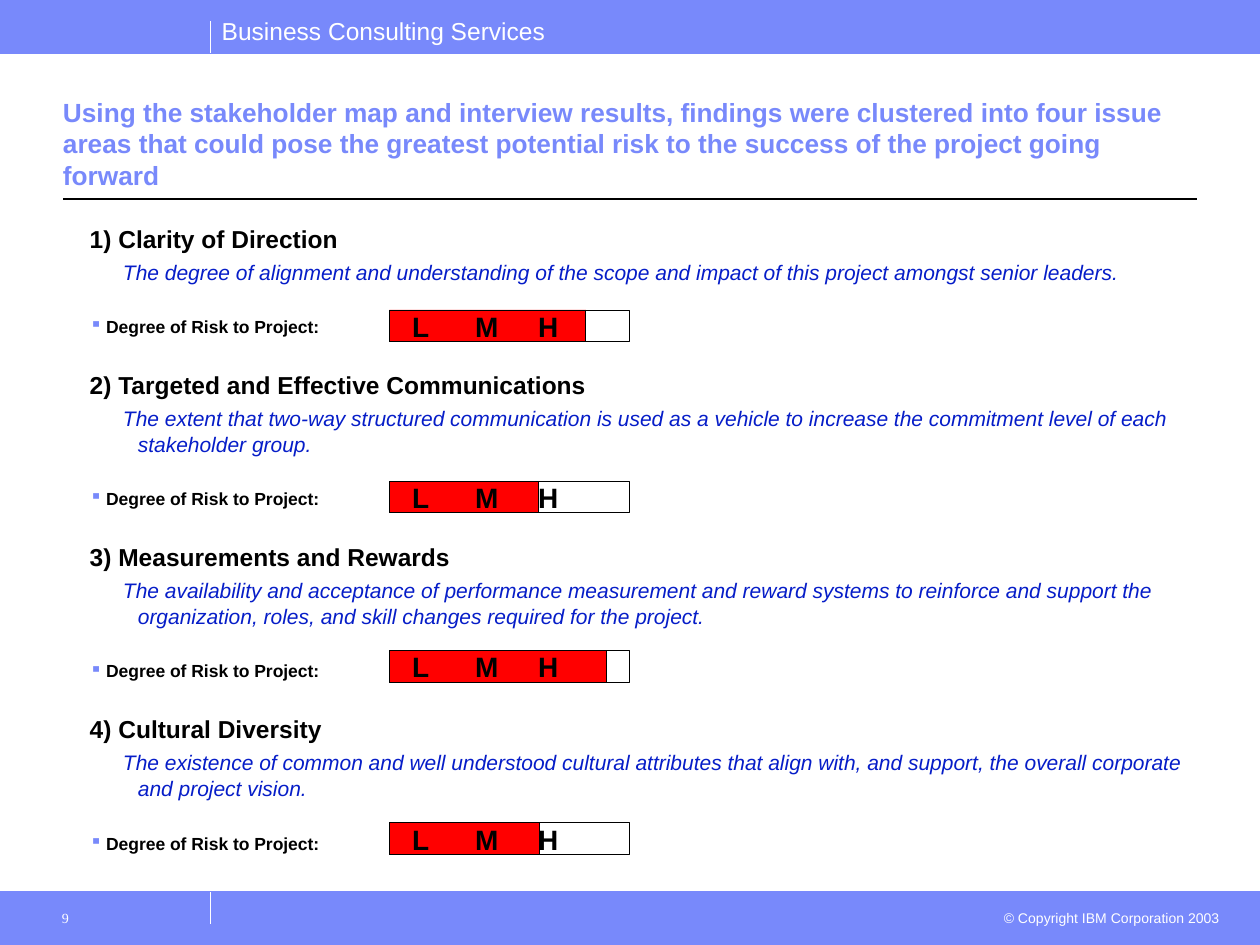
"""Build a slide that rates the project risk of four stakeholder issue areas."""
from lxml import etree
from pptx import Presentation
from pptx import util as u
from pptx.dml.color import RGBColor
from pptx.enum import shapes, text
from pptx.oxml.ns import qn

COLORS = {
    "band": "7889FB",
    "white": "FFFFFF",
    "black": "000000",
    "description": "061DC8",
    "risk": "FF0000",
}
SLIDE_WIDTH, SLIDE_HEIGHT = 25.4, 19.05
BAND_HEIGHT = 1.07
DIVIDER_X = 4.24
SCALE_LEFT, SCALE_WIDTH, SCALE_HEIGHT = 7.85, 4.85, 0.64

ISSUES = [
    ("1) Clarity of Direction",
     "The degree of alignment and understanding of the scope and impact of this project "
     "amongst senior leaders.", 6.25, 3.96),
    ("2) Targeted and Effective Communications",
     "The extent that two-way structured communication is used as a vehicle to increase "
     "the commitment level of each stakeholder group.", 9.7, 3.0),
    ("3) Measurements and Rewards",
     "The availability and acceptance of performance measurement and reward systems to "
     "reinforce and support the organization, roles, and skill changes required for the "
     "project.", 13.11, 4.37),
    ("4) Cultural Diversity",
     "The existence of common and well understood cultural attributes that align with, "
     "and support, the overall corporate and project vision.", 16.59, 3.02),
]


def color(name):
    """Return the named colour."""
    return RGBColor.from_string(COLORS[name])


def add_bullet(properties, character, color_name):
    """Add a coloured bullet character to paragraph properties."""
    bullet_color = etree.SubElement(properties, qn("a:buClr"))
    etree.SubElement(bullet_color, qn("a:srgbClr"), val=COLORS[color_name])
    etree.SubElement(properties, qn("a:buChar"), char=character)


def add_tabs(properties, positions):
    """Add left tab stops, given in centimetres, to paragraph properties."""
    tab_list = etree.SubElement(properties, qn("a:tabLst"))
    for position in positions:
        etree.SubElement(tab_list, qn("a:tab"), pos=str(u.Cm(position)), algn="l")


def write(paragraph, content, size, color_name="black", font="Arial", bold=False,
          italic=False, align=text.PP_ALIGN.LEFT, before=0, spacing=None, margin=0,
          indent=0, bullet=None, tabs=()):
    """Fill a paragraph with formatted text."""
    properties = paragraph._p.get_or_add_pPr()
    properties.set("marL", str(u.Cm(margin)))
    properties.set("indent", str(u.Cm(indent)))
    if bullet:
        add_bullet(properties, bullet, "band")
    if tabs:
        add_tabs(properties, tabs)
    paragraph.alignment = align
    paragraph.space_before = u.Pt(before)
    if spacing:
        paragraph.line_spacing = spacing
    run = paragraph.add_run()
    run.text = content
    run.font.name = font
    run.font.size = u.Pt(size)
    run.font.bold = bold
    run.font.italic = italic
    run.font.color.rgb = color(color_name)


def set_frame(frame, insets, anchor=text.MSO_ANCHOR.TOP, wrap=True):
    """Set the insets, anchor and wrapping of a text frame."""
    frame.margin_left, frame.margin_top, frame.margin_right, frame.margin_bottom = map(u.Cm, insets)
    frame.vertical_anchor = anchor
    frame.word_wrap = wrap


def add_text_box(slide, left, top, width, height, insets=(0.25, 0.13, 0.25, 0.13), **frame_format):
    """Add a text box and return its text frame."""
    box = slide.shapes.add_textbox(u.Cm(left), u.Cm(top), u.Cm(width), u.Cm(height))
    set_frame(box.text_frame, insets, **frame_format)
    return box.text_frame


def add_rectangle(slide, left, top, width, height, fill, line, line_width):
    """Add an outlined rectangle, hollow when fill is None."""
    shape = slide.shapes.add_shape(
        shapes.MSO_SHAPE.RECTANGLE, u.Cm(left), u.Cm(top), u.Cm(width), u.Cm(height))
    shape.shadow.inherit = False
    if fill:
        shape.fill.solid()
        shape.fill.fore_color.rgb = color(fill)
    else:
        shape.fill.background()
    shape.line.color.rgb = color(line)
    shape.line.width = u.Pt(line_width)
    return shape


def add_line(slide, start_x, start_y, end_x, end_y, color_name):
    """Add a thin straight line."""
    line = slide.shapes.add_connector(
        shapes.MSO_CONNECTOR.STRAIGHT, u.Cm(start_x), u.Cm(start_y), u.Cm(end_x), u.Cm(end_y))
    line.line.color.rgb = color(color_name)
    line.line.width = u.Pt(0.75)
    etree.SubElement(line._element.spPr, qn("a:effectLst"))


def add_bands(slide):
    """Add the header and footer bands with their dividers and texts."""
    footer_top = SLIDE_HEIGHT - BAND_HEIGHT
    for band_top, divider_top in ((0, 0.43), (footer_top, footer_top)):
        add_rectangle(slide, 0, band_top, SLIDE_WIDTH, BAND_HEIGHT, "band", "band", 0.75)
        add_line(slide, DIVIDER_X, divider_top + 0.64, DIVIDER_X, divider_top, "white")
    header = add_text_box(slide, 4.22, 0.2, 7.04, 0.86, wrap=False)
    write(header.paragraphs[0], "Business Consulting Services", 14, "white")
    notice = add_text_box(slide, 19.89, 18.21, 4.95, 0.61)
    write(notice.paragraphs[0], "© Copyright IBM Corporation 2003", 8, "white",
          align=text.PP_ALIGN.RIGHT)
    number = add_text_box(slide, 0.84, 18.16, 3.38, 0.89, insets=(0.41, 0.18, 0.25, 0.13))
    write(number.paragraphs[0], "9", 8, "white", font="Times New Roman")


def add_title(slide):
    """Add the title and the rule below it."""
    title = add_text_box(slide, 1.27, 1.63, 22.86, 2.34, insets=(0, 0.13, 0, 0.13),
                         anchor=text.MSO_ANCHOR.BOTTOM)
    write(title.paragraphs[0],
          "Using the stakeholder map and interview results, findings were clustered into "
          "four issue areas that could pose the greatest potential risk to the success of "
          "the project going forward", 15, "band", bold=True)
    add_line(slide, 1.27, 4.01, 24.13, 4.01, "black")


def add_issues(slide):
    """Add the headings, descriptions and risk labels of all issues."""
    frame = add_text_box(slide, 1.68, 4.36, 22.86, 13.12, insets=(0.13, 0.13, 0.13, 0.13))
    for index, (heading, description, *_) in enumerate(ISSUES):
        first = frame.add_paragraph() if index else frame.paragraphs[0]
        write(first, heading, 14, bold=True, before=18 if index else 0, spacing=1.04,
              margin=0.33, indent=-0.33)
        write(frame.add_paragraph(), description, 12, "description", italic=True, before=3,
              spacing=1.04, margin=0.97, indent=-0.3)
        write(frame.add_paragraph(), "Degree of Risk to Project:", 10, bold=True, before=17.5,
              spacing=1.04, margin=0.33, indent=-0.33, bullet="▪")


def add_risk_scale(slide, top, level_width):
    """Add a low-medium-high scale filled up to the risk level."""
    add_rectangle(slide, SCALE_LEFT, top, level_width, SCALE_HEIGHT, "risk", "black", 0.5)
    scale = add_rectangle(slide, SCALE_LEFT, top, SCALE_WIDTH, SCALE_HEIGHT, None, "black", 0.5)
    set_frame(scale.text_frame, (0.46, 0, 0, 0), anchor=text.MSO_ANCHOR.MIDDLE)
    write(scale.text_frame.paragraphs[0], "L\tM\tH", 16, bold=True, tabs=(1.55, 3.45))


def main():
    """Build and save the presentation."""
    presentation = Presentation()
    presentation.slide_width = u.Cm(SLIDE_WIDTH)
    presentation.slide_height = u.Cm(SLIDE_HEIGHT)
    slide = presentation.slides.add_slide(presentation.slide_layouts[6])
    add_bands(slide)
    add_title(slide)
    add_issues(slide)
    for _, _, top, level_width in ISSUES:
        add_risk_scale(slide, top, level_width)
    presentation.save("out.pptx")


if __name__ == "__main__":
    main()
